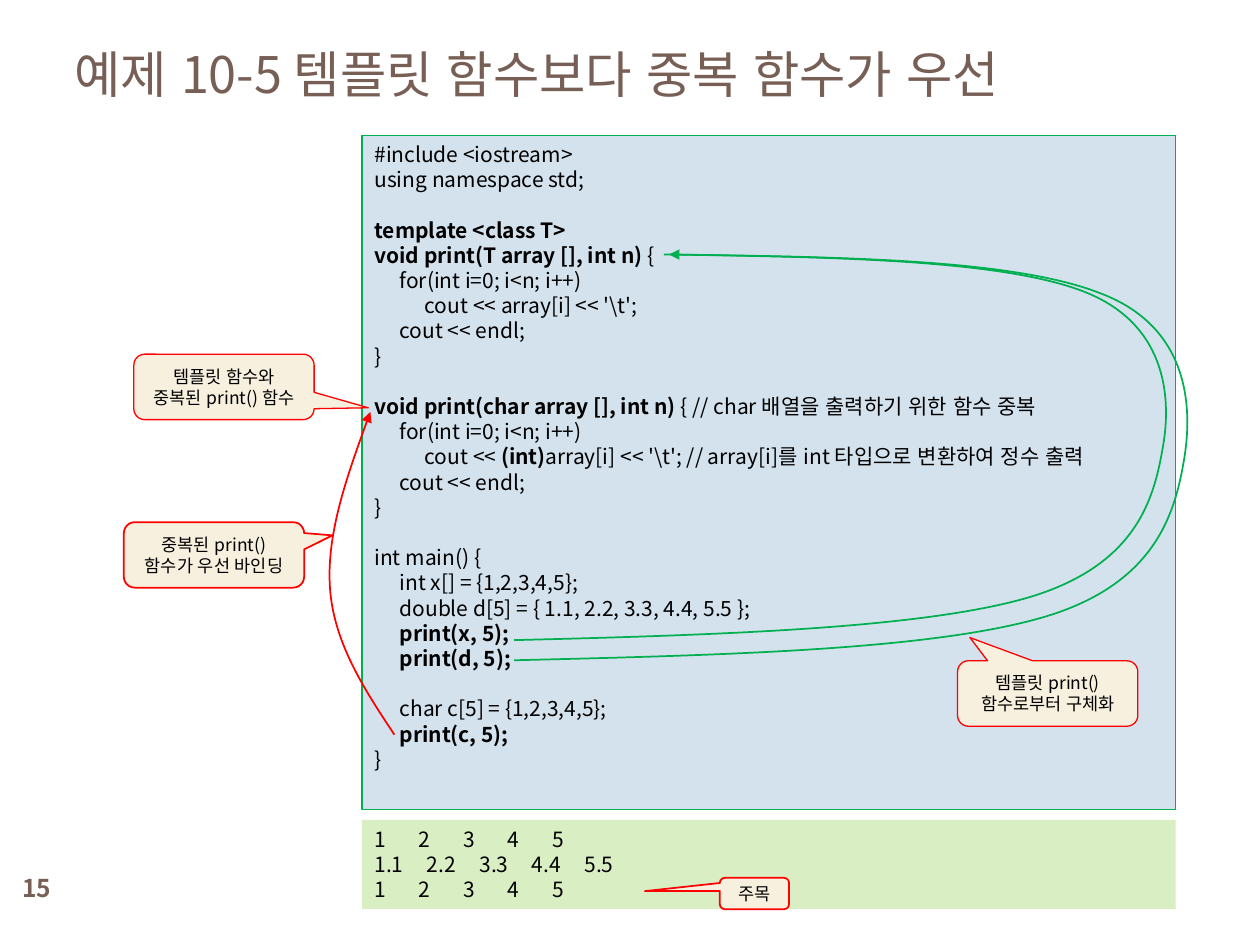
from pptx import Presentation
from pptx.dml.color import RGBColor
from pptx.enum.lang import MSO_LANGUAGE_ID
from pptx.enum.shapes import MSO_SHAPE
from pptx.enum.text import MSO_ANCHOR, PP_ALIGN
from pptx.oxml.ns import qn
from pptx.util import Pt
from lxml import etree

RECTANGLE = MSO_SHAPE.RECTANGLE
CALLOUT = MSO_SHAPE.ROUNDED_RECTANGULAR_CALLOUT
TOP, MIDDLE = MSO_ANCHOR.TOP, MSO_ANCHOR.MIDDLE
LEFT, CENTER = PP_ALIGN.LEFT, PP_ALIGN.CENTER
KOREAN = MSO_LANGUAGE_ID.KOREAN

FONT = "Noto Sans CJK KR"
COLORS = {"brown": "775F55", "black": "000000", "code": "D4E2ED", "output": "DAEEC4",
          "note": "F7F0DE", "green": "00B050", "red": "FF0000"}
LINE_FACTOR = 1.2
CODE_SIZE, NOTE_SIZE = 12, 10
INDENT = 14.4
NOTE_MARGIN = 9

TITLE = "예제 10-5 템플릿 함수보다 중복 함수가 우선"
PAGE_NUMBER = "15"

# Blocks are set apart by one line; each line is (indent level, (text, bold), ...)
CODE_BLOCKS = [
    [(0, ("#include <iostream>", False)),
     (0, ("using namespace std;", False))],
    [(0, ("template <class T>", True)),
     (0, ("void print(T array [], int n) ", True), ("{", False)),
     (1, ("for(int i=0; i<n; i++)", False)),
     (2, ("cout << array[i] << '\\t';", False)),
     (1, ("cout << endl;", False)),
     (0, ("}", False))],
    [(0, ("void print(char array [], int n) ", True),
      ("{ // char 배열을 출력하기 위한 함수 중복", False)),
     (1, ("for(int i=0; i<n; i++)", False)),
     (2, ("cout << ", False), ("(int)", True),
      ("array[i] << '\\t'; // array[i]를 int 타입으로 변환하여 정수 출력", False)),
     (1, ("cout << endl;", False)),
     (0, ("}", False))],
    [(0, ("int main() {", False)),
     (1, ("int x[] = {1,2,3,4,5};", False)),
     (1, ("double d[5] = { 1.1, 2.2, 3.3, 4.4, 5.5 };", False)),
     (1, ("print(x, 5);", True)),
     (1, ("print(d, 5);", True))],
    [(1, ("char c[5] = {1,2,3,4,5};", False)),
     (1, ("print(c, 5);", True)),
     (0, ("}", False))],
]

# (values, column width)
OUTPUT_ROWS = [
    (["1", "2", "3", "4", "5"], 25.4),
    (["1.1", "2.2", "3.3", "4.4", "5.5"], 30),
    (["1", "2", "3", "4", "5"], 25.4),
]

# (paragraphs, (left, top, width, height), pointer offset, line width)
CALLOUTS = [
    (["템플릿 함수와", "중복된 print() 함수"], (76.5, 202.4, 103, 37.4), (0.801, 0.319), 0.75),
    (["중복된 print() 함수가 우선 바인딩"], (70.8, 298.4, 103, 37.4), (0.657, -0.299), 1),
    (["주목"], (411.3, 501.6, 39.6, 18), (-1.581, -0.076), 1),
    (["템플릿 print() 함수로부터 구체화"], (547.2, 377.6, 103, 37.4), (-0.431, -0.855), 0.75),
]

# (color, arrowhead, start followed by three Bezier points per segment)
CALL_CURVES = [
    ("red", True, [(225.4, 419.8), (208.1, 393.8), (190.8, 367.2), (188.6, 336.2),
                   (186.5, 306), (198.7, 270.7), (211.7, 235.4)]),
    ("green", False, [(293.8, 365.8), (410.4, 362.9), (527, 359.3), (588.2, 341.3),
                      (650.2, 322.6), (659.5, 284.4), (664.6, 254.9),
                      (669.6, 226.1), (666, 184.3), (618.5, 166.3),
                      (571, 148.3), (475.2, 146.9), (379.4, 145.4)]),
    ("green", True, [(293.8, 377.3), (414, 374.4), (534.2, 371.5), (598.3, 352.1),
                     (661.7, 332.6), (671.8, 291.6), (676.8, 261.4),
                     (681.8, 230.4), (678.2, 186.5), (629.3, 167.8),
                     (580.3, 148.3), (481, 146.9), (382.3, 145.4)]),
]


def rgb(name):
    return RGBColor.from_string(COLORS[name])


def add_span(para, text, size, color="black", bold=False):
    span = para.add_run()
    span.text = text
    span.font.size, span.font.bold, span.font.name = Pt(size), bold, FONT
    span.font.language_id = KOREAN
    span.font.color.rgb = rgb(color)
    etree.SubElement(span.font._element, qn("a:ea"), typeface=FONT)


def add_paras(box, count, anchor, align, size):
    """Prepare the frame and return its paragraphs, with fixed line height."""
    frame = box.text_frame
    frame.word_wrap = True
    frame.vertical_anchor = anchor
    paras = [frame.paragraphs[0]] + [frame.add_paragraph() for _ in range(count - 1)]
    for para in paras:
        para.alignment = align
        para.line_spacing = Pt(size * LINE_FACTOR)
    return paras


def add_label(page, place, text, size, align, bold=False):
    box = page.shapes.add_textbox(*map(Pt, place))
    para = add_paras(box, 1, MIDDLE, align, size)[0]
    add_span(para, text, size, "brown", bold)


def add_box(page, kind, place, fill, line=None, width=0.75):
    box = page.shapes.add_shape(kind, *map(Pt, place))
    box.shadow.inherit = False
    box.fill.solid()
    box.fill.fore_color.rgb = rgb(fill)
    if line:
        box.line.color.rgb = rgb(line)
        box.line.width = Pt(width)
    else:
        box.line.fill.background()
    return box


def add_code(page):
    box = add_box(page, RECTANGLE, (206.9, 77.3, 465, 385.2), "code", "green")
    lines = [(block, row, line) for block, rows in enumerate(CODE_BLOCKS)
             for row, line in enumerate(rows)]
    paras = add_paras(box, len(lines), TOP, LEFT, CODE_SIZE)
    for para, (block, row, (level, *spans)) in zip(paras, lines):
        para._p.get_or_add_pPr().set("marL", str(Pt(level * INDENT)))
        if block and not row:
            para.space_before = Pt(CODE_SIZE * LINE_FACTOR)
        for text, bold in spans:
            add_span(para, text, CODE_SIZE, bold=bold)


def add_output(page):
    box = add_box(page, RECTANGLE, (206.9, 468.5, 465, 50.9), "output")
    paras = add_paras(box, len(OUTPUT_ROWS), TOP, LEFT, CODE_SIZE)
    for para, (values, step) in zip(paras, OUTPUT_ROWS):
        stops = etree.SubElement(para._p.get_or_add_pPr(), qn("a:tabLst"))
        for column in range(1, len(values)):
            etree.SubElement(stops, qn("a:tab"), pos=str(Pt(column * step)), algn="l")
        add_span(para, "\t".join(values), CODE_SIZE)


def add_callout(page, texts, place, pointer, width):
    box = add_box(page, CALLOUT, place, "note", "red", width)
    box.adjustments[0], box.adjustments[1] = pointer
    box.text_frame.margin_left = box.text_frame.margin_right = Pt(NOTE_MARGIN)
    for para, text in zip(add_paras(box, len(texts), MIDDLE, CENTER, NOTE_SIZE), texts):
        add_span(para, text, NOTE_SIZE)


def add_curve(page, color, arrow, points):
    """Draw a freeform through every third point and bend its segments."""
    builder = page.shapes.build_freeform(*map(Pt, points[0]))
    builder.add_line_segments([tuple(map(Pt, point)) for point in points[3::3]], close=False)
    curve = builder.convert_to_shape()
    for index, segment in enumerate(list(curve._element.iter(qn("a:lnTo")))):
        bend = etree.Element(qn("a:cubicBezTo"))
        for x, y in points[3 * index + 1:3 * index + 4]:
            etree.SubElement(bend, qn("a:pt"), x=str(Pt(x) - curve.left), y=str(Pt(y) - curve.top))
        segment.getparent().replace(segment, bend)
    curve.shadow.inherit = False
    curve.fill.background()
    curve.line.color.rgb = rgb(color)
    curve.line.width = Pt(1)
    if arrow:
        etree.SubElement(curve.line._get_or_add_ln(), qn("a:tailEnd"), type="triangle")


def main():
    deck = Presentation()
    deck.slide_width, deck.slide_height = Pt(720), Pt(540)
    page = deck.slides.add_slide(deck.slide_layouts[6])
    add_label(page, (0, 492, 41.8, 30.2), PAGE_NUMBER, 14, CENTER, bold=True)
    add_label(page, (35.3, 15.1, 642.2, 53.3), TITLE, 28.8, LEFT)
    add_code(page)
    add_output(page)
    for curve in CALL_CURVES:
        add_curve(page, *curve)
    for callout in CALLOUTS:
        add_callout(page, *callout)
    deck.save("out.pptx")


if __name__ == "__main__":
    main()
